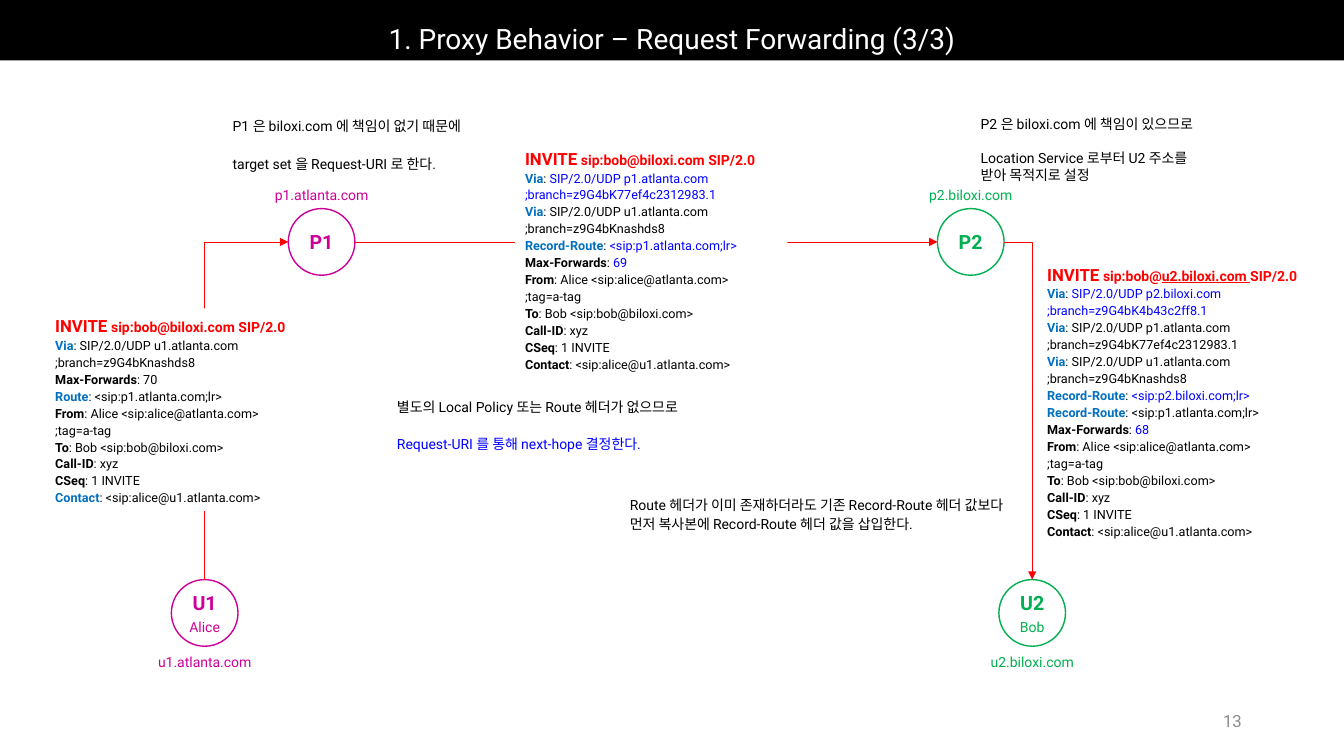
from dataclasses import dataclass
from lxml.etree import SubElement
from pptx import Presentation
from pptx.dml.color import RGBColor
from pptx.enum.shapes import MSO_CONNECTOR as Wire, MSO_SHAPE as Form
from pptx.enum.text import MSO_ANCHOR as Anchor, PP_ALIGN as Align
from pptx.oxml.ns import qn
from pptx.util import Pt


@dataclass(frozen=True)
class Theme:
    font: str = "Roboto"
    ink: str = "000000"
    paper: str = "FFFFFF"
    red: str = "FF0000"
    azure: str = "0070C0"
    blue: str = "0000FF"
    pink: str = "CC0099"
    green: str = "00B050"
    gray: str = "8C8C8C"
    title: float = 20
    node: float = 14
    verb: float = 12
    page: float = 12
    gap: float = 10.5
    body: float = 10
    field: float = 9
    lead: float = 1.12


T = Theme()


def rgb(code):
    return RGBColor.from_string(code)


def style(font, size=None, color=None, bold=None):
    if size:
        font.name, font.size = T.font, Pt(size)
    if color:
        font.color.rgb = rgb(color)
    if bold is not None:
        font.bold = bold


def add_run(para, text, **look):
    run = para.add_run()
    run.text = text
    style(run.font, **look)
    return run


def next_para(frame):
    """The unused first paragraph, or a new one."""
    first = frame.paragraphs[0]
    return frame.add_paragraph() if first.runs else first


def add_line(frame, text, size, color, align=Align.LEFT, lead=1.0, bold=False, before=0):
    para = next_para(frame)
    para.alignment, para.line_spacing = align, lead
    if before:
        para.space_before = Pt(before)
    style(para.font, size, color, bold)
    para.add_run().text = text


def text_box(slide, box, anchor=Anchor.TOP):
    frame = slide.shapes.add_textbox(*map(Pt, box)).text_frame
    frame.word_wrap, frame.vertical_anchor = True, anchor
    return frame


def block(slide, form, box, fill, line=None, anchor=Anchor.TOP):
    shape = slide.shapes.add_shape(form, *map(Pt, box))
    shape.shadow.inherit = False
    shape.fill.solid()
    shape.fill.fore_color.rgb = rgb(fill)
    if line:
        shape.line.color.rgb, shape.line.width = rgb(line), Pt(1)
    else:
        shape.line.fill.background()
    shape.text_frame.word_wrap, shape.text_frame.vertical_anchor = True, anchor
    return shape


# Title bar and page number
def header(slide, box, text):
    bar = block(slide, Form.RECTANGLE, box, T.ink, anchor=Anchor.BOTTOM)
    add_line(bar.text_frame, text, T.title, T.paper, Align.CENTER, 0.9)


def footer(slide, box, text):
    add_line(text_box(slide, box, Anchor.MIDDLE), text, T.page, T.gray, Align.RIGHT)


# Round node with its host name above or below
def node(slide, mid, name, host, color, user=None):
    x, y = mid
    size, wide, high = 47.6, 82, 19.4
    disc = block(slide, Form.OVAL, (x - size / 2, y - size / 2, size, size),
                 T.paper, color, Anchor.MIDDLE)
    frame = disc.text_frame
    frame.margin_left = frame.margin_right = frame.margin_top = frame.margin_bottom = 0
    add_line(frame, name, T.node, color, Align.CENTER, bold=True)
    if user:
        add_line(frame, user, T.body, color, Align.CENTER, before=3)
    top = y + 25.2 if user else y - 43.2
    label = text_box(slide, (x - wide / 2, top, wide, high))
    label.margin_left = label.margin_right = 0
    add_line(label, host, T.body, color, Align.CENTER)
    return disc


# Arrow between two nodes, glued at their sites
SITES = {"top": (0, 0.5, 0), "left": (2, 0, 0.5), "right": (6, 1, 0.5)}


def link(slide, start, end, kind, tip):
    ends, spots = [], []
    for disc, side in (start, end):
        site, across, down = SITES[side]
        ends.append((disc.shape_id, site))
        spots += [int(disc.left + disc.width * across), int(disc.top + disc.height * down)]
    wire = slide.shapes.add_connector(kind, *spots)
    wire.line.color.rgb, wire.line.width = rgb(T.red), Pt(0.5)
    props = wire.element.spPr
    if kind == Wire.ELBOW:
        props.find(qn("a:prstGeom")).set("prst", "bentConnector2")
    SubElement(props.find(qn("a:ln")), qn(tip), type="triangle")
    SubElement(props, qn("a:effectLst"))
    glue = wire.element.nvCxnSpPr.cNvCxnSpPr
    for tag, (ident, site) in zip(("a:stCxn", "a:endCxn"), ends):
        SubElement(glue, qn(tag), id=str(ident), idx=str(site))


# INVITE message: request line, then header fields
def row(text, key=T.ink, value=T.ink):
    return text, key, value


def message(slide, box, target, rows):
    frame = block(slide, Form.RECTANGLE, box, T.paper).text_frame
    para = next_para(frame)
    para.alignment, para.line_spacing = Align.LEFT, T.lead
    style(para.font, color=T.red)
    add_run(para, "INVITE", size=T.verb, bold=True)
    add_run(para, " ", size=T.gap)
    for text, under in target:
        add_run(para, text, size=T.body, bold=True).font.underline = under
    for text, key, value in rows:
        para = next_para(frame)
        para.alignment, para.line_spacing = Align.LEFT, T.lead
        style(para.font, T.field)
        name, colon, rest = text.partition(": ")
        if colon:
            add_run(para, name, color=key, bold=True)
            add_run(para, colon, color=T.ink)
        add_run(para, rest or name, color=value)


# Free remark
def note(slide, box, lines, lead=T.lead):
    frame = text_box(slide, box)
    for text, color, before in lines:
        add_line(frame, text, T.body, color, lead=lead, before=before)


CALL = [row("From: Alice <sip:alice@atlanta.com>"), row(";tag=a-tag"),
        row("To: Bob <sip:bob@biloxi.com>"), row("Call-ID: xyz"), row("CSeq: 1 INVITE")]
CONTACT = "Contact: <sip:alice@u1.atlanta.com>"
VIA = [row("Via: SIP/2.0/UDP u1.atlanta.com", T.azure), row(";branch=z9G4bKnashds8")]
PLAIN = [("sip:bob@biloxi.com SIP/2.0", False)]


def forward(slide):
    header(slide, (0, 0, 960, 43.2), "1. Proxy Behavior – Request Forwarding (3/3)")
    footer(slide, (678.2, 500.4, 216, 28.8), "13")

    p1 = node(slide, (229.7, 172.8), "P1", "p1.atlanta.com", T.pink)
    p2 = node(slide, (693.4, 172.8), "P2", "p2.biloxi.com", T.green)
    u1 = node(slide, (146.2, 437.8), "U1", "u1.atlanta.com", T.pink, "Alice")
    u2 = node(slide, (737.3, 437.8), "U2", "u2.biloxi.com", T.green, "Bob")
    link(slide, (p1, "right"), (p2, "left"), Wire.STRAIGHT, "a:tailEnd")
    link(slide, (p1, "left"), (u1, "top"), Wire.ELBOW, "a:headEnd")
    link(slide, (p2, "right"), (u2, "top"), Wire.ELBOW, "a:tailEnd")

    message(slide, (32.4, 220.3, 182.2, 144.7), PLAIN, [
        *VIA, row("Max-Forwards: 70"), row("Route: <sip:p1.atlanta.com;lr>", T.azure),
        *CALL, row(CONTACT, T.azure)])
    message(slide, (368, 100.8, 194.4, 169.2), PLAIN, [
        row("Via: SIP/2.0/UDP p1.atlanta.com", T.azure, T.blue),
        row(";branch=z9G4bK77ef4c2312983.1", value=T.blue), *VIA,
        row("Record-Route: <sip:p1.atlanta.com;lr>", T.azure, T.blue),
        row("Max-Forwards: 69", value=T.blue), *CALL, row(CONTACT)])
    target = [("sip:bob@", False), ("u2.biloxi.com ", True), ("SIP/2.0", False)]
    message(slide, (740.9, 183.6, 198, 205.9), target, [
        row("Via: SIP/2.0/UDP p2.biloxi.com", T.azure, T.blue),
        row(";branch=z9G4bK4b43c2ff8.1", value=T.blue),
        row("Via: SIP/2.0/UDP p1.atlanta.com", T.azure),
        row(";branch=z9G4bK77ef4c2312983.1"), *VIA,
        row("Record-Route: <sip:p2.biloxi.com;lr>", T.azure, T.blue),
        row("Record-Route: <sip:p1.atlanta.com;lr>", T.azure),
        row("Max-Forwards: 68", value=T.blue), *CALL, row(CONTACT)])

    note(slide, (442.8, 350, 297, 33.8), [
        ("Route 헤더가 이미 존재하더라도 기존 Record-Route 헤더 값보다", T.ink, 0),
        ("먼저 복사본에 Record-Route 헤더 값을 삽입한다.", T.ink, 0)])
    note(slide, (159.1, 79.2, 190, 33.8), [
        ("P1 은 biloxi.com 에 책임이 없기 때문에", T.ink, 0),
        ("target set 을 Request-URI 로 한다.", T.ink, 13.5)])
    note(slide, (693.4, 79.2, 182, 43.9), [
        ("P2 은 biloxi.com 에 책임이 있으므로", T.ink, 0),
        ("Location Service 로부터 U2 주소를", T.ink, 12),
        ("받아 목적지로 설정", T.ink, 0)], 1.0)
    note(slide, (276.5, 279.4, 230, 33.8), [
        ("별도의 Local Policy 또는 Route 헤더가 없으므로", T.ink, 0),
        ("Request-URI 를 통해 next-hope 결정한다.", T.blue, 13.5)])


def main():
    deck = Presentation()
    deck.slide_width, deck.slide_height = Pt(960), Pt(540)
    forward(deck.slides.add_slide(deck.slide_layouts[6]))
    deck.save("out.pptx")


if __name__ == "__main__":
    main()
